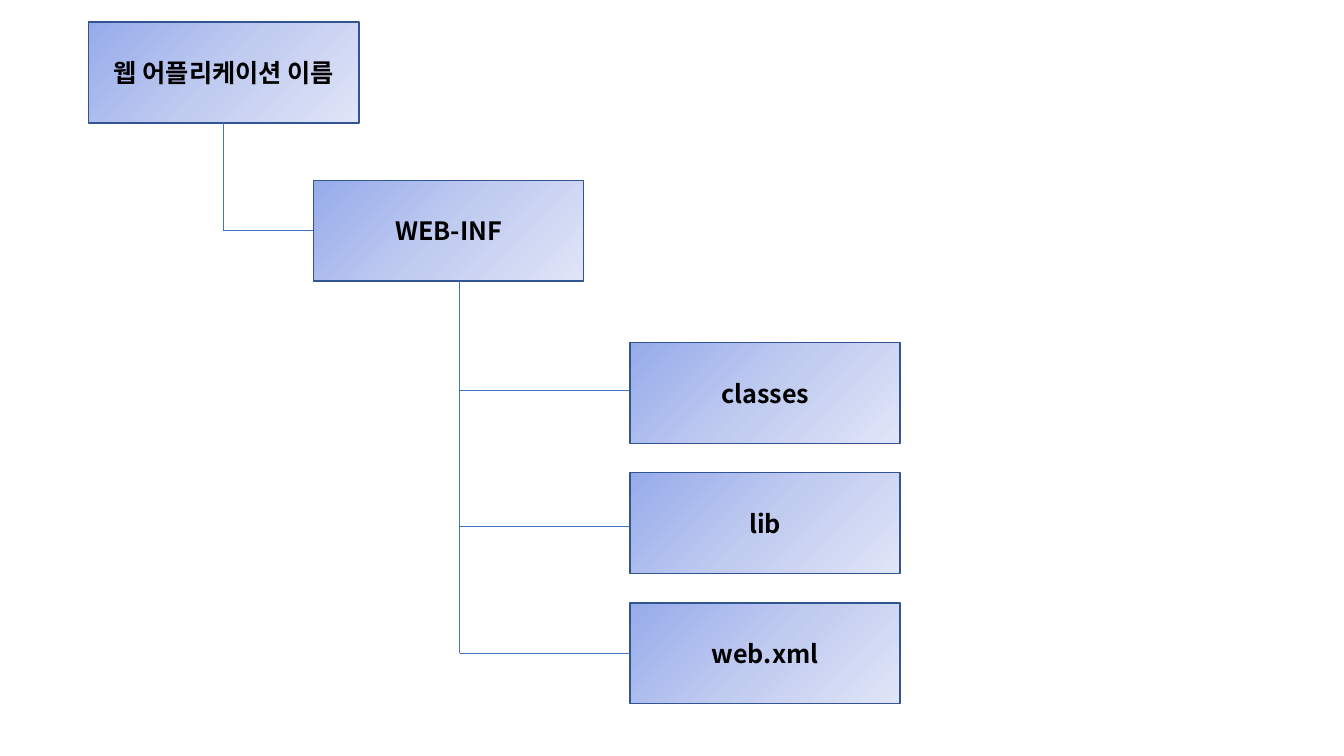
import copy

import lxml.etree
import pptx
import pptx.dml.color
import pptx.enum.shapes
import pptx.enum.text
import pptx.oxml.ns
import pptx.util

Pt = pptx.util.Pt
qn = pptx.oxml.ns.qn

THEME = {
    "font": "Noto Sans CJK KR",
    "size": 18,
    "text": "000000",
    "gradient": [(0, "96ABEA"), (0.5, "C0CBF0"), (1, "E0E5F7")],
    "gradient_angle": 315,
    "border": "325491",
    "border_width": 1,
    "connector": "4472C4",
    "connector_width": 0.5,
}

SLIDE_SIZE = (960, 540)
BOX_WIDTH, BOX_HEIGHT = 193, 72
ROOT = ("웹 어플리케이션 이름", 63.4, 15.8)
FOLDER = ("WEB-INF", 223.9, 128.9)
CHILDREN = ["classes", "lib", "web.xml"]
CHILD_LEFT, CHILD_TOP, CHILD_STEP = 450, 244.8, 92.9
TRUNK_X = 328.3
UPPER_BRANCHES = [278.6, 375.8]
BOTTOM, LEFT = 2, 1


def rgb(value):
    return pptx.dml.color.RGBColor.from_string(value)


def apply_gradient(shape):
    """Fill the shape with the three-stop theme gradient."""
    fill = shape.fill
    fill.gradient()
    fill.gradient_angle = THEME["gradient_angle"]
    stop_list = shape.element.spPr.find(".//" + qn("a:gsLst"))
    stop_list.append(copy.deepcopy(stop_list[-1]))
    for stop, (position, color) in zip(fill.gradient_stops, THEME["gradient"]):
        stop.position = position
        stop.color.rgb = rgb(color)


def add_box(slide, text, left, top):
    shape = slide.shapes.add_shape(
        pptx.enum.shapes.MSO_SHAPE.RECTANGLE,
        Pt(left), Pt(top), Pt(BOX_WIDTH), Pt(BOX_HEIGHT))
    shape.shadow.inherit = False
    apply_gradient(shape)
    shape.line.color.rgb = rgb(THEME["border"])
    shape.line.width = Pt(THEME["border_width"])
    frame = shape.text_frame
    frame.word_wrap = True
    frame.vertical_anchor = pptx.enum.text.MSO_ANCHOR.MIDDLE
    paragraph = frame.paragraphs[0]
    paragraph.alignment = pptx.enum.text.PP_ALIGN.CENTER
    run = paragraph.add_run()
    run.text = text
    run.font.color.rgb = rgb(THEME["text"])
    font_format = {"name": THEME["font"], "size": Pt(THEME["size"]), "bold": True}
    for name, value in font_format.items():
        setattr(run.font, name, value)
    east_asian = lxml.etree.SubElement(run.font._element, qn("a:ea"))
    east_asian.set("typeface", THEME["font"])
    return shape


def add_line(slide, start, end):
    connector = slide.shapes.add_connector(
        pptx.enum.shapes.MSO_CONNECTOR.STRAIGHT, *map(Pt, start + end))
    connector.line.color.rgb = rgb(THEME["connector"])
    connector.line.width = Pt(THEME["connector_width"])
    lxml.etree.SubElement(connector.element.spPr, qn("a:effectLst"))
    return connector


def main():
    presentation = pptx.Presentation()
    presentation.slide_width, presentation.slide_height = map(Pt, SLIDE_SIZE)
    slide = presentation.slides.add_slide(presentation.slide_layouts[6])

    root = add_box(slide, *ROOT)
    folder = add_box(slide, *FOLDER)
    children = [add_box(slide, text, CHILD_LEFT, CHILD_TOP + index * CHILD_STEP)
                for index, text in enumerate(CHILDREN)]

    root_x = ROOT[1] + BOX_WIDTH / 2
    folder_y = FOLDER[2] + BOX_HEIGHT / 2
    corner = (root_x, folder_y)
    add_line(slide, (root_x, ROOT[2] + BOX_HEIGHT), corner).begin_connect(root, BOTTOM)
    add_line(slide, corner, (FOLDER[1], folder_y)).end_connect(folder, LEFT)

    last_y = CHILD_TOP + (len(CHILDREN) - 1) * CHILD_STEP + BOX_HEIGHT / 2
    add_line(slide, (TRUNK_X, FOLDER[2] + BOX_HEIGHT), (TRUNK_X, last_y))
    for y in UPPER_BRANCHES:
        add_line(slide, (TRUNK_X, y), (CHILD_LEFT, y))
    last_branch = add_line(slide, (TRUNK_X, last_y), (CHILD_LEFT, last_y))
    last_branch.end_connect(children[-1], LEFT)

    presentation.save("out.pptx")


if __name__ == "__main__":
    main()
